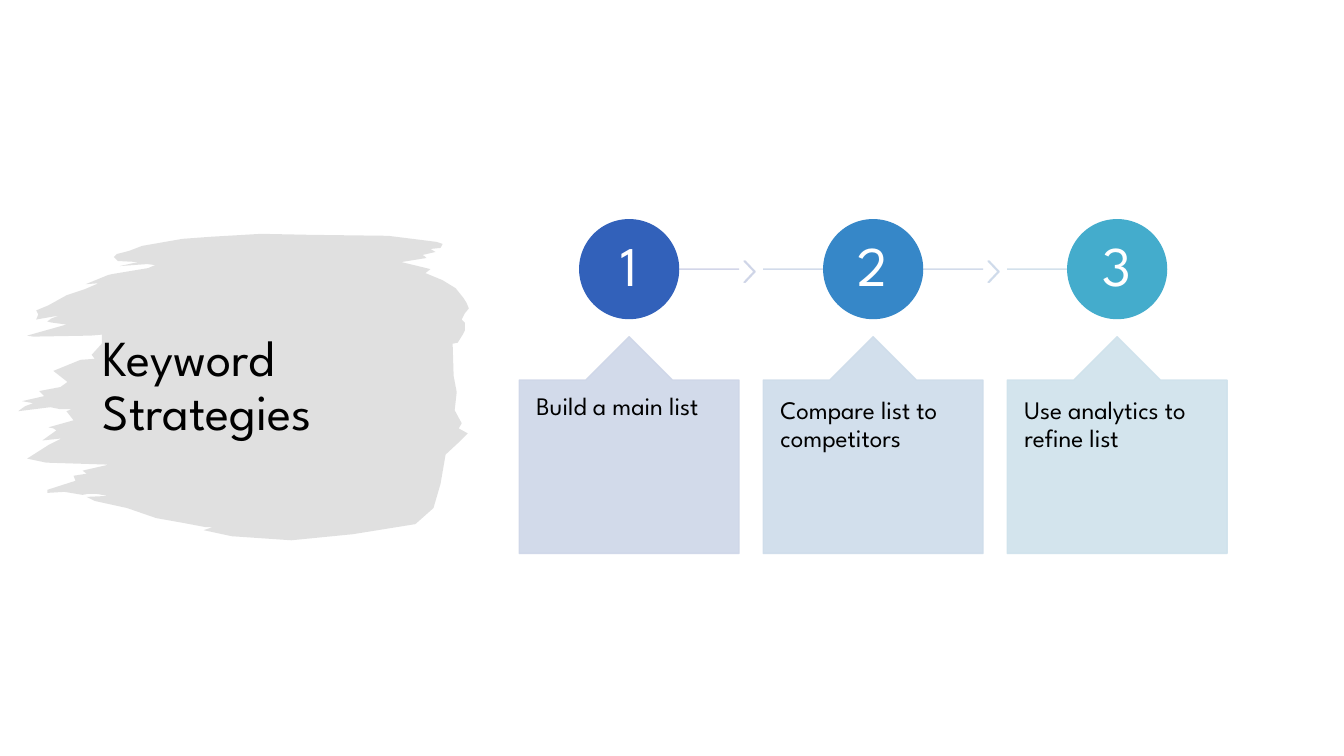
from dataclasses import dataclass

from lxml.etree import SubElement
from pptx import Presentation
from pptx.dml.color import RGBColor
from pptx.enum.shapes import MSO_CONNECTOR, MSO_SHAPE
from pptx.enum.text import MSO_ANCHOR, PP_ALIGN
from pptx.oxml.ns import qn
from pptx.shapes.base import BaseShape
from pptx.slide import Slide
from pptx.util import Emu, Pt

PX = 9144
FONT = "League Spartan"
COLOURS = {
    "brush": "D9D9D9", "ink": "000000", "paper": "FFFFFF",
    "circle1": "3261BA", "circle2": "3687C8", "circle3": "44ACCC",
    "card1": "CED6E8", "card2": "CEDCEA", "card3": "CFE2EC",
    "line1": "CED2E7", "line2": "CED8E9", "line3": "CFDEEB",
    "chevron1": "CED4E7", "chevron2": "CEDAEA",
}
CARD_LEFT, CARD_STEP, CARD_WIDTH = 515, 242, 218
CIRCLE_SIZE, NUMBER_SIZE, LINE_TOP = 98, 69, 267

BRUSH_OUTLINE = [
    (259, 232), (307, 233), (385, 234), (433, 240), (439, 242), (437, 246),
    (427, 247), (432, 250), (419, 253), (421, 254), (423, 256), (398, 260),
    (427, 267), (422, 271), (439, 278), (452, 286), (460, 296), (463, 301),
    (465, 306), (461, 311), (458, 317), (461, 320), (461, 328), (459, 332),
    (454, 340), (449, 341), (450, 373), (453, 389), (451, 407), (458, 420),
    (455, 425), (464, 430), (456, 438), (442, 451), (437, 480), (430, 504),
    (412, 520), (350, 530), (289, 536), (230, 532), (202, 526), (211, 523),
    (204, 523), (183, 519), (155, 514), (126, 504), (94, 497), (86, 493),
    (107, 492), (96, 490), (87, 490), (82, 491), (64, 488), (47, 489),
    (47, 486), (75, 477), (73, 472), (86, 470), (82, 467), (86, 466),
    (108, 461), (46, 459), (27, 455), (49, 441), (61, 435), (42, 437),
    (56, 427), (53, 425), (48, 424), (73, 417), (66, 408), (71, 406),
    (65, 406), (60, 406), (50, 404), (18, 408), (25, 403), (33, 400),
    (22, 398), (44, 393), (39, 388), (60, 384), (67, 379), (53, 368),
    (80, 357), (94, 356), (91, 352), (101, 341), (101, 332), (90, 333),
    (33, 334), (27, 333), (66, 322), (51, 320), (47, 319), (51, 316),
    (59, 313), (36, 317), (38, 312), (36, 308), (48, 303), (66, 293),
    (84, 287), (98, 281), (85, 282), (107, 273), (111, 272), (147, 266),
    (154, 263), (146, 262), (119, 264), (137, 260), (117, 259), (113, 255),
    (116, 252), (128, 249), (141, 244), (181, 237), (208, 235),
]


@dataclass(frozen=True)
class Box:
    left: int
    top: int
    width: int
    height: int

    def emu(self) -> list[Emu]:
        return [Emu(side * PX) for side in (self.left, self.top, self.width, self.height)]


@dataclass(frozen=True)
class Step:
    label: str
    line_start: int
    line_end: int
    has_chevron: bool


STEPS = [
    Step("Build a main list", 636, 733, True),
    Step("Compare list to competitors", 757, 975, True),
    Step("Use analytics to refine list", 999, 1108, False),
]


def colour(name: str) -> RGBColor:
    return RGBColor.from_string(COLOURS[name])


def set_opacity(shape: BaseShape, percent: int) -> None:
    for solid in list(shape._element.spPr.iter(qn("a:srgbClr"))):
        SubElement(solid, qn("a:alpha")).set("val", str(percent * 1000))


def add_figure(page: Slide, kind: MSO_SHAPE, box: Box, name: str,
               adjustments: tuple[float, ...] = (), opacity: int = 100) -> None:
    figure = page.shapes.add_shape(kind, *box.emu())
    figure.shadow.inherit = False
    for index, value in enumerate(adjustments):
        figure.adjustments[index] = value
    figure.fill.solid()
    figure.fill.fore_color.rgb = colour(name)
    figure.line.color.rgb = colour(name)
    figure.line.width = Pt(1)
    if opacity < 100:
        set_opacity(figure, opacity)


def add_text(page: Slide, box: Box, text: str, size: int, name: str,
             insets: tuple[int, int], anchor: MSO_ANCHOR, align: PP_ALIGN) -> None:
    frame = page.shapes.add_textbox(*box.emu()).text_frame
    frame.word_wrap = True
    frame.vertical_anchor = anchor
    frame.margin_left = frame.margin_right = Emu(insets[0] * PX)
    frame.margin_top = frame.margin_bottom = Emu(insets[1] * PX)
    para = frame.paragraphs[0]
    para.alignment = align
    para.line_spacing = 0.9
    span = para.add_run()
    span.text = text
    span.font.name = FONT
    span.font.size = Pt(size)
    span.font.color.rgb = colour(name)


def add_line(page: Slide, start: int, end: int, name: str) -> None:
    line = page.shapes.add_connector(
        MSO_CONNECTOR.STRAIGHT,
        Emu(start * PX), Emu(LINE_TOP * PX), Emu(end * PX), Emu(LINE_TOP * PX))
    line.line.color.rgb = colour(name)
    line.line.width = Pt(1)
    set_opacity(line, 90)
    SubElement(line._element.spPr, qn("a:effectLst"))


def add_brush(page: Slide) -> None:
    builder = page.shapes.build_freeform(*BRUSH_OUTLINE[0], scale=PX)
    builder.add_line_segments(BRUSH_OUTLINE[1:], close=True)
    brush = builder.convert_to_shape()
    brush.shadow.inherit = False
    brush.fill.solid()
    brush.fill.fore_color.rgb = colour("brush")
    brush.line.fill.background()
    set_opacity(brush, 80)


def add_step(page: Slide, number: int, step: Step) -> None:
    left = CARD_LEFT + (number - 1) * CARD_STEP
    circle_left = left + (CARD_WIDTH - CIRCLE_SIZE) // 2
    number_left = left + (CARD_WIDTH - NUMBER_SIZE) // 2
    add_line(page, step.line_start, step.line_end, f"line{number}")
    if step.has_chevron:
        add_figure(page, MSO_SHAPE.CHEVRON, Box(left + 223, 259, 11, 21),
                   f"chevron{number}", (0.9,), 90)
    add_figure(page, MSO_SHAPE.OVAL, Box(circle_left, 218, CIRCLE_SIZE, CIRCLE_SIZE),
               f"circle{number}")
    add_text(page, Box(number_left, 232, NUMBER_SIZE, NUMBER_SIZE), str(number), 40,
             "paper", (4, 4), MSO_ANCHOR.MIDDLE, PP_ALIGN.CENTER)
    add_figure(page, MSO_SHAPE.UP_ARROW_CALLOUT, Box(left, 334, CARD_WIDTH, 215),
               f"card{number}", (0.5, 0.2, 0.2, 1.0), 90)
    add_text(page, Box(left, 377, CARD_WIDTH, 172), step.label, 18,
             "ink", (17, 18), MSO_ANCHOR.TOP, PP_ALIGN.LEFT)


def main() -> None:
    deck = Presentation()
    deck.slide_width = Emu(1333 * PX)
    deck.slide_height = Emu(750 * PX)
    page = deck.slides.add_slide(deck.slide_layouts[6])
    add_brush(page)
    add_text(page, Box(92, 164, 352, 440), "Keyword Strategies", 36,
             "ink", (10, 5), MSO_ANCHOR.MIDDLE, PP_ALIGN.LEFT)
    for number, step in enumerate(STEPS, start=1):
        add_step(page, number, step)
    deck.save("out.pptx")


if __name__ == "__main__":
    main()
